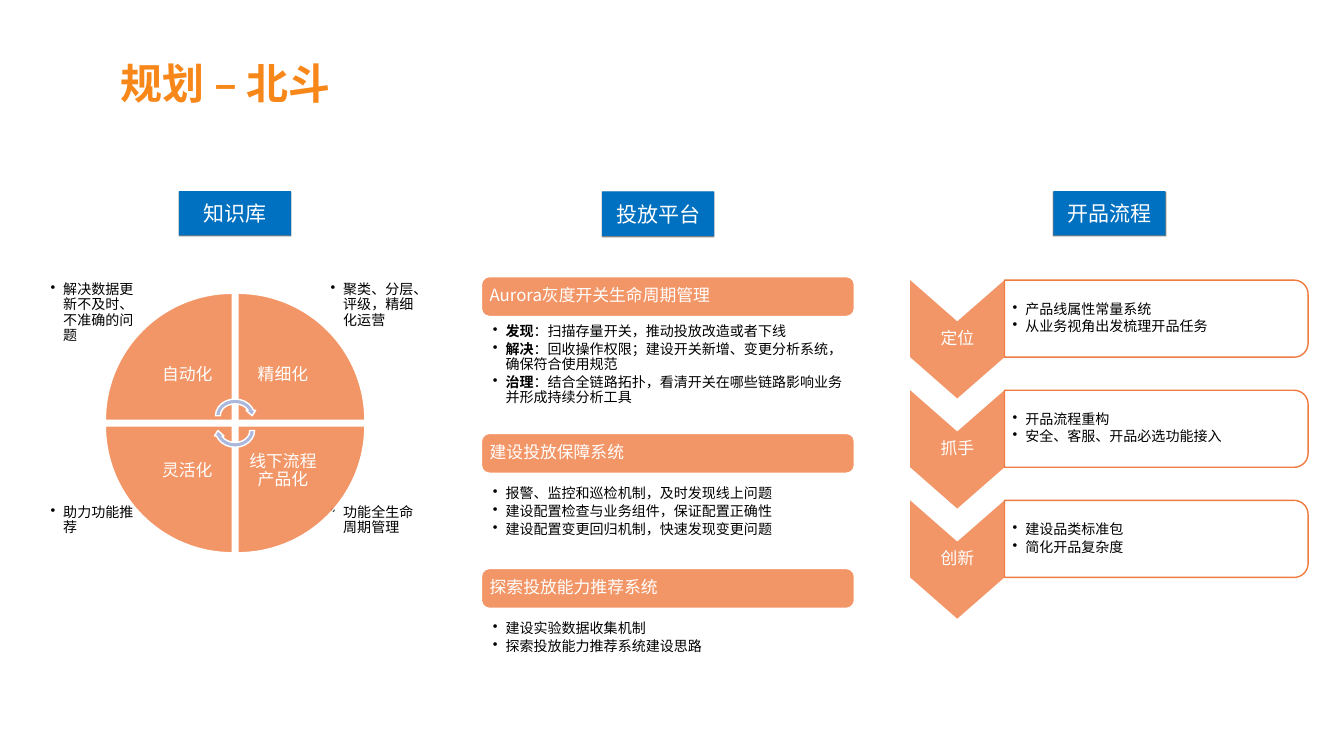
import math

import pptx
import pptx.dml.color
import pptx.enum.shapes
import pptx.enum.text
import pptx.oxml
import pptx.oxml.ns
import pptx.util

Cm = pptx.util.Cm
Pt = pptx.util.Pt
RGBColor = pptx.dml.color.RGBColor
SHAPE = pptx.enum.shapes.MSO_SHAPE
ANCHOR = pptx.enum.text.MSO_ANCHOR
ALIGN = pptx.enum.text.PP_ALIGN
qn = pptx.oxml.ns.qn

FONT = "Noto Sans CJK SC"
TITLE_ORANGE = RGBColor(0xF8, 0x87, 0x19)
ORANGE = RGBColor(0xF0, 0x7C, 0x42)
BLUE = RGBColor(0x00, 0x70, 0xC0)
LAVENDER = RGBColor(0xAB, 0xB8, 0xDC)
WHITE = RGBColor(0xFF, 0xFF, 0xFF)
BLACK = RGBColor(0x00, 0x00, 0x00)

SHADOW = (
    '<a:outerShdw xmlns:a="http://schemas.openxmlformats.org/drawingml/2006/main" '
    'blurRad="12700" dist="12700" dir="5400000"><a:srgbClr val="000000">'
    '<a:alpha val="50000"/></a:srgbClr></a:outerShdw>'
)

LABEL = {"size": 24, "color": WHITE, "spacing": 0.9, "after": 8}
CENTERED = {**LABEL, "align": ALIGN.CENTER}
BULLETS = {"size": 20, "color": BLACK, "spacing": 0.9, "after": 3, "bullet": True}
HEADING = {"size": 30, "color": WHITE, "align": ALIGN.CENTER}

HEADINGS = [("知识库", 9.02, 9.63), ("投放平台", 30.35, 9.65), ("开品流程", 53.09, 9.63)]

QUADRANTS = [
    (1, 1, "线下流程产品化", "功能全生命周期管理"),
    (-1, 1, "灵活化", "助力功能推荐"),
    (1, -1, "精细化", "聚类、分层、评级，精细化运营"),
    (-1, -1, "自动化", "解决数据更新不及时、不准确的问题"),
]

PLATFORM = [
    ("Aurora灰度开关生命周期管理", 13.94, 16.31, 4.17, [
        ("发现", "：扫描存量开关，推动投放改造或者下线"),
        ("解决", "：回收操作权限；建设开关新增、变更分析系统，确保符合使用规范"),
        ("治理", "：结合全链路拓扑，看清开关在哪些链路影响业务并形成持续分析工具"),
    ]),
    ("建设投放保障系统", 21.84, 23.85, 3.94, [
        "报警、监控和巡检机制，及时发现线上问题",
        "建设配置检查与业务组件，保证配置正确性",
        "建设配置变更回归机制，快速发现变更问题",
    ]),
    ("探索投放能力推荐系统", 28.65, 30.66, 3, [
        "建设实验数据收集机制",
        "探索投放能力推荐系统建设思路",
    ]),
]

PROCESS = [
    ("定位", ["产品线属性常量系统", "从业务视角出发梳理开品任务"]),
    ("抓手", ["开品流程重构", "安全、客服、开品必选功能接入"]),
    ("创新", ["建设品类标准包", "简化开品复杂度"]),
]


def add_run(paragraph, text, style, bold):
    run = paragraph.add_run()
    run.text = text
    values = {"name": FONT, "size": Pt(style["size"]), "bold": bold}
    for name, value in values.items():
        setattr(run.font, name, value)
    run.font.color.rgb = style["color"]
    east_asian = run.font._element.makeelement(qn("a:ea"), {"typeface": FONT})
    run.font._element.find(qn("a:latin")).addnext(east_asian)


def write(shape, items, style, insets, anchor=ANCHOR.MIDDLE):
    frame = shape.text_frame
    values = dict(zip(("margin_left", "margin_top", "margin_right", "margin_bottom"), map(Cm, insets)))
    values.update(word_wrap=True, vertical_anchor=anchor)
    for name, value in values.items():
        setattr(frame, name, value)
    for index, item in enumerate(items):
        paragraph = frame.add_paragraph() if index else frame.paragraphs[0]
        layout = {
            "alignment": style.get("align", ALIGN.LEFT),
            "line_spacing": style.get("spacing", 1.0),
            "space_after": Pt(style.get("after", 0)),
        }
        for name, value in layout.items():
            setattr(paragraph, name, value)
        if style.get("bullet"):
            properties = paragraph._p.get_or_add_pPr()
            properties.set("marL", str(Cm(0.64)))
            properties.set("indent", str(Cm(-0.64)))
            properties.append(properties.makeelement(qn("a:buChar"), {"char": "•"}))
        if isinstance(item, tuple):
            add_run(paragraph, item[0], style, True)
            add_run(paragraph, item[1], style, False)
        else:
            add_run(paragraph, item, style, style.get("bold", False))


def paint(shape, fill, opacity=100, line=None):
    shape.shadow.inherit = False
    shape.fill.solid()
    shape.fill.fore_color.rgb = fill
    if opacity < 100:
        color = shape._element.spPr.find(qn("a:solidFill"))[0]
        color.append(color.makeelement(qn("a:alpha"), {"val": str(opacity * 1000)}))
    if line is None:
        shape.line.fill.background()
    else:
        shape.line.color.rgb = line
        shape.line.width = Pt(2)


def add_preset(slide, kind, box, fill, opacity=100, line=None, corner=None):
    shape = slide.shapes.add_shape(kind, *map(Cm, box))
    paint(shape, fill, opacity, line)
    if corner is not None:
        shape.adjustments[0] = corner
    return shape


def add_outline(slide, points, fill, opacity, line=None):
    corners = [(Cm(x), Cm(y)) for x, y in points]
    builder = slide.shapes.build_freeform(*corners[0])
    builder.add_line_segments(corners[1:], close=True)
    shape = builder.convert_to_shape()
    paint(shape, fill, opacity, line)
    return shape


def add_text(slide, box, items, style, insets, anchor=ANCHOR.MIDDLE):
    write(slide.shapes.add_textbox(*map(Cm, box)), items, style, insets, anchor)


def arc(x, y, radius_x, radius_y, steps):
    angles = [math.pi / 2 * step / steps for step in range(steps + 1)]
    return [(x + radius_x * math.cos(a), y + radius_y * math.sin(a)) for a in angles]


def add_heading(slide, text, left, top):
    shape = add_preset(slide, SHAPE.RECTANGLE, (left, top, 5.64, 2.24), BLUE)
    shape._element.spPr.find(qn("a:effectLst")).append(pptx.oxml.parse_xml(SHADOW))
    write(shape, [text], HEADING, [0.1] * 4)


def quadrant_insets(side_x, side_y, outer, inner_x, inner_y):
    left, right = (outer, inner_x) if side_x < 0 else (inner_x, outer)
    top, bottom = (outer, inner_y) if side_y < 0 else (inner_y, outer)
    return left, top, right, bottom


def add_knowledge_cycle(slide):
    center_x, center_y, half_gap, radius = 11.85, 21.32, 0.14, 6.4
    for side_x, side_y, _, note in QUADRANTS:
        box = (8.19 + side_x * 5.95, 18.96 + side_y * 5.02, 7.3, 4.72)
        panel = add_preset(slide, SHAPE.ROUNDED_RECTANGLE, box, WHITE, 90, corner=0.1)
        write(panel, [note], BULLETS, quadrant_insets(side_x, side_y, 0.17, 2.38, 1.36), ANCHOR.TOP)
    for side_x, side_y, label, _ in QUADRANTS:
        corner = (center_x + side_x * half_gap, center_y + side_y * half_gap)
        rim = arc(*corner, side_x * radius, side_y * radius, 40)
        wedge = add_outline(slide, [corner] + rim, ORANGE, 80, WHITE)
        write(wedge, [label], CENTERED, quadrant_insets(side_x, side_y, 2.34, 0.48, 0.48))
    for top, rotation in ((19.99, 0), (20.73, 180)):
        arrow = add_preset(slide, SHAPE.CIRCULAR_ARROW, (10.74, top, 2.21, 1.93), LAVENDER, line=WHITE)
        arrow.rotation = rotation


def add_platform(slide):
    left, width = 24.26, 18.8
    for title, bar_top, body_top, body_height, items in PLATFORM:
        bar = add_preset(slide, SHAPE.ROUNDED_RECTANGLE, (left, bar_top, width, 2.01), ORANGE, 80, WHITE, 0.2)
        write(bar, [title], LABEL, [0.3] * 4)
        body = (left, body_top, width, body_height)
        add_text(slide, body, items, {**BULLETS, "after": 4}, (0.58, 0.08, 0.41, 0.08))


def add_process(slide):
    left, middle, right, edge = 45.87, 48.24, 50.62, 65.92
    height, notch, radius = 3.88, 2.08, 0.7
    for index, (label, items) in enumerate(PROCESS):
        top = 14.12 + index * 5.55
        bottom = top + height
        chevron = add_outline(slide, [
            (left, top), (middle, top + notch), (right, top),
            (right, bottom), (middle, bottom + notch), (left, bottom),
        ], ORANGE, 80)
        write(chevron, [label], CENTERED, (0.05, 2.62, 0.05, 2.62))
        lower = arc(edge - radius, bottom - radius, radius, radius, 10)
        upper = arc(edge - radius, top + radius, radius, -radius, 10)[::-1]
        card = add_outline(slide, [(right, top)] + upper + lower + [(right, bottom)], WHITE, 90, ORANGE)
        write(card, items, BULLETS, (0.41, 0.28, 0.28, 0.28))


def main():
    presentation = pptx.Presentation()
    presentation.slide_width = Cm(67.73)
    presentation.slide_height = Cm(38.1)
    slide = presentation.slides.add_slide(presentation.slide_layouts[6])
    title = {"size": 60, "color": TITLE_ORANGE, "bold": True}
    add_text(slide, (5.99, 3.2, 16.69, 2.34), ["规划 – 北斗"], title, [0.1] * 4, ANCHOR.BOTTOM)
    for heading in HEADINGS:
        add_heading(slide, *heading)
    add_knowledge_cycle(slide)
    add_platform(slide)
    add_process(slide)
    presentation.save("out.pptx")


main()
